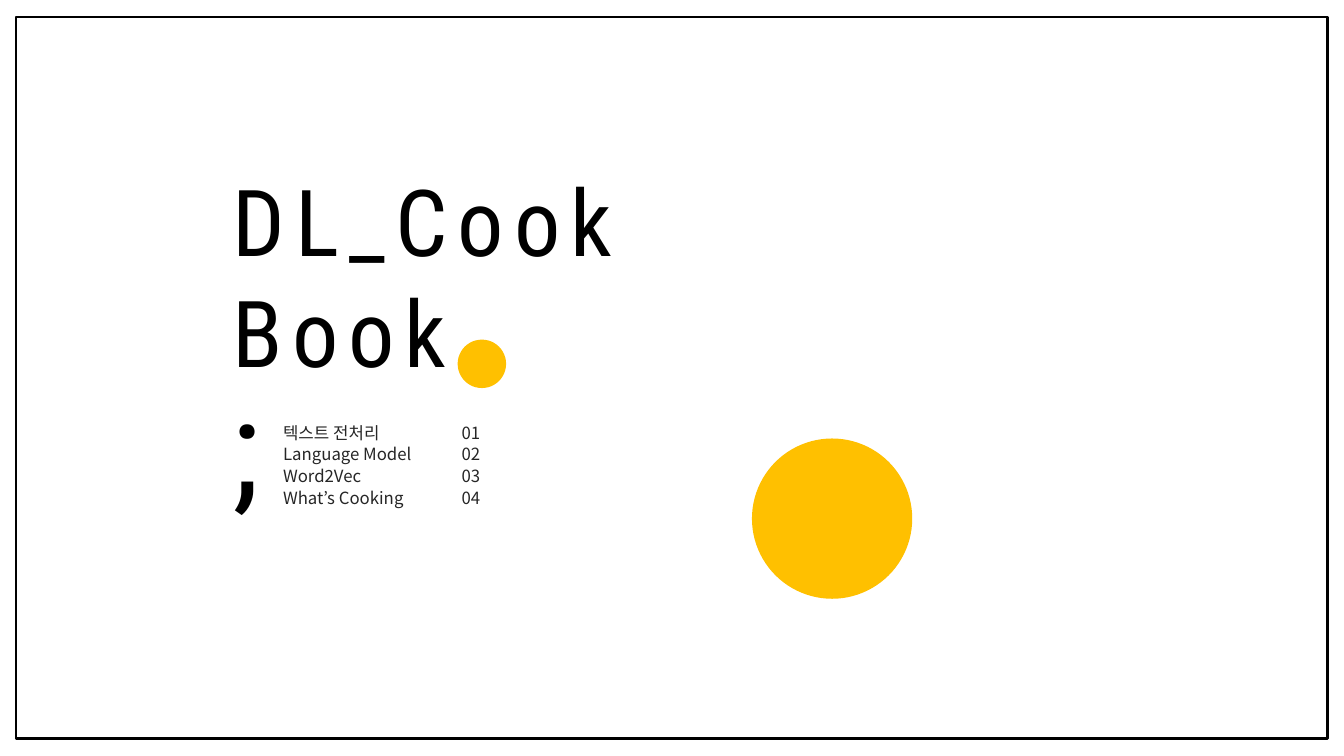
from lxml.etree import SubElement
from pptx import Presentation
from pptx.dml.color import RGBColor
from pptx.enum.shapes import MSO_SHAPE as Shape
from pptx.enum.text import MSO_ANCHOR as Anchor, MSO_AUTO_SIZE as AutoSize
from pptx.oxml.ns import qn
from pptx.util import Pt

# Content
TITLE = ["DL_Cook", "Book"]
MARK = ";"
CHAPTERS = ["텍스트 전처리", "Language Model", "Word2Vec", "What’s Cooking"]

# Format
BLACK = RGBColor(0x00, 0x00, 0x00)
GRAY = RGBColor(0x26, 0x26, 0x26)
WHITE = RGBColor(0xFF, 0xFF, 0xFF)
YELLOW = RGBColor(0xFF, 0xC0, 0x00)
DISPLAY = "Roboto Condensed"
BODY = "Noto Sans CJK KR"
TITLE_FONT = {"name": DISPLAY, "size": Pt(66)}
MARK_FONT = {"name": DISPLAY, "size": Pt(96)}
LIST_FONT = {"name": BODY, "size": Pt(12)}

# Layout in points: left, top, width, height
SLIDE = (960, 540)
DOTS = [(326.9, 242.6, 34.6, 34.6), (537.1, 313.2, 114.5, 114.5)]
FRAME = (11.5, 12.2, 936.7, 515.5)
TITLE_BOX = (159.1, 113.8, 345.6, 326.9)
MARK_BOX = (159.1, 254.9, 47.5, 123.8)
LIST_TOP, LIST_STEP, LIST_HEIGHT = 298.1, 15.5, 21.6
NAME_LEFT, NAME_WIDTH = 195.1, 123.8
NUMBER_LEFT, NUMBER_WIDTH = 322.6, 42.5


def points(area):
    return [Pt(value) for value in area]


def add_shape(kind, area):
    shape = page.shapes.add_shape(kind, *points(area))
    shape.shadow.inherit = False
    return shape


def add_text(parent, area, lines, font, color, wrap=True):
    box = parent.add_textbox(*points(area))
    frame = box.text_frame
    frame_format = {"word_wrap": wrap, "auto_size": AutoSize.SHAPE_TO_FIT_TEXT,
                    "vertical_anchor": Anchor.TOP}
    for name, value in frame_format.items():
        setattr(frame, name, value)
    spans = []
    for index, line in enumerate(lines):
        para = frame.add_paragraph() if index else frame.paragraphs[0]
        span = para.add_run()
        span.text = line
        for name, value in font.items():
            setattr(span.font, name, value)
        span.font.color.rgb = color
        SubElement(span.font._element, qn("a:ea"), typeface=font["name"])
        spans.append(span)
    return spans


def space_letters(spans):
    for span in spans:
        span.font._element.set("spc", "700")


def outline_letters(spans):
    for span in spans:
        properties = span.font._element
        line = SubElement(properties, qn("a:ln"), w=str(Pt(0.75)))
        properties.insert(0, line)  # the outline must precede the fill
        fill = SubElement(line, qn("a:solidFill"))
        color = SubElement(fill, qn("a:srgbClr"), val=str(GRAY))
        SubElement(color, qn("a:alpha"), val="20000")


deck = Presentation()
deck.slide_width, deck.slide_height = points(SLIDE)
page = deck.slides.add_slide(deck.slide_layouts[6])
page.background.fill.solid()
page.background.fill.fore_color.rgb = WHITE

# Yellow dots
for area in DOTS:
    dot = add_shape(Shape.OVAL, area)
    dot.fill.solid()
    dot.fill.fore_color.rgb = YELLOW
    dot.line.fill.background()

# Border
border = add_shape(Shape.RECTANGLE, FRAME)
border.fill.background()
border.line.color.rgb = BLACK
border.line.width = Pt(1.75)

# Title
space_letters(add_text(page.shapes, TITLE_BOX, TITLE, TITLE_FONT, BLACK))

# Contents list with its semicolon
contents = page.shapes.add_group_shape().shapes
space_letters(add_text(contents, MARK_BOX, [MARK], MARK_FONT, BLACK, wrap=False))
for row, chapter in enumerate(CHAPTERS):
    top = LIST_TOP + row * LIST_STEP
    cells = [(NAME_LEFT, NAME_WIDTH, chapter),
             (NUMBER_LEFT, NUMBER_WIDTH, f"{row + 1:02}")]
    for left, width, words in cells:
        area = (left, top, width, LIST_HEIGHT)
        outline_letters(add_text(contents, area, [words], LIST_FONT, GRAY))

deck.save("out.pptx")
